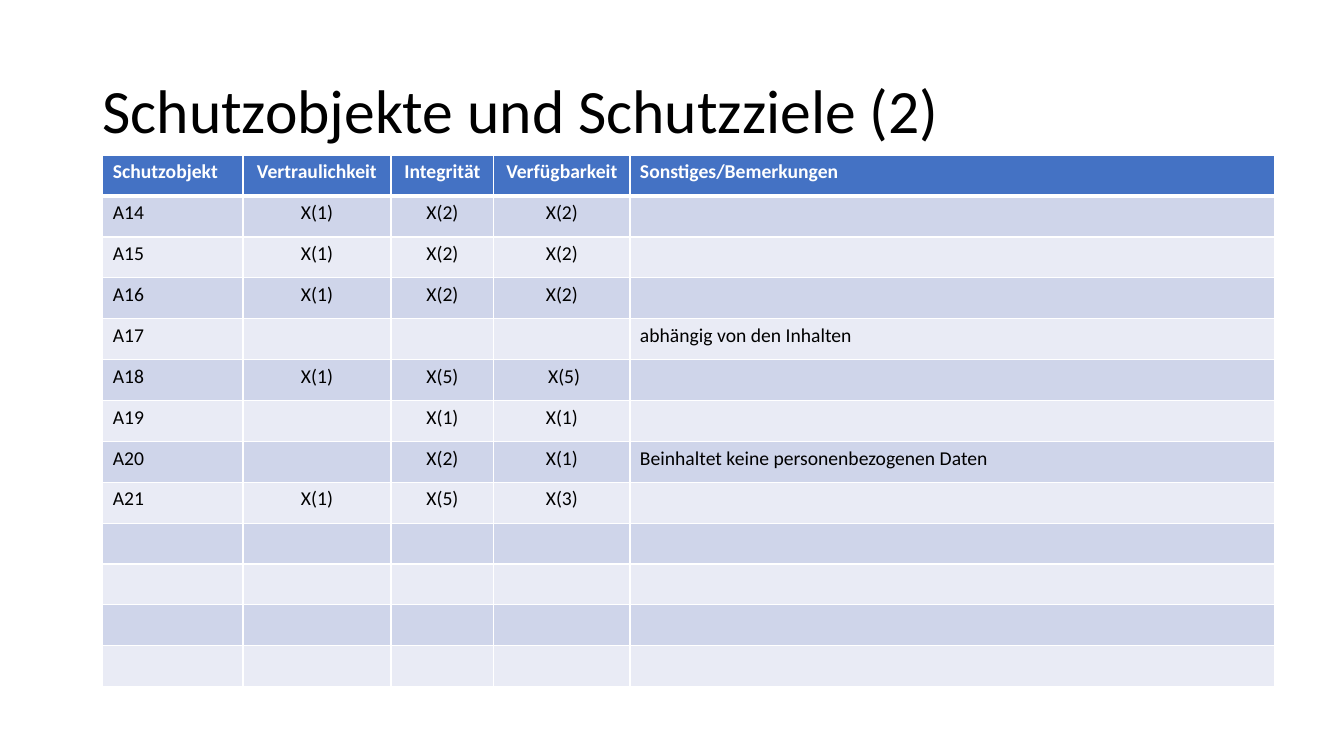
import pptx
import pptx.util
import pptx.dml.color
import pptx.enum.text
from lxml import etree
from pptx.oxml.ns import qn

Pt = pptx.util.Pt
ALIGN = pptx.enum.text.PP_ALIGN
FONT = "Calibri"
COLORS = {
    "head": "4472C4",
    "odd": "CFD5EA",
    "even": "E9EBF5",
    "white": "FFFFFF",
    "black": "000000",
}
WIDTHS = [100.08, 105.84, 73.44, 97.2, 460.3]
HEIGHT = 29.2
HEAD = ["Schutzobjekt", "Vertraulichkeit", "Integrität", "Verfügbarkeit",
        "Sonstiges/Bemerkungen"]
BODY = [
    ["A14", "X(1)", "X(2)", "X(2)", ""],
    ["A15", "X(1)", "X(2)", "X(2)", ""],
    ["A16", "X(1)", "X(2)", "X(2)", ""],
    ["A17", "", "", "", "abhängig von den Inhalten"],
    ["A18", "X(1)", "X(5)", " X(5)", ""],
    ["A19", "", "X(1)", "X(1)", ""],
    ["A20", "", "X(2)", "X(1)", "Beinhaltet keine personenbezogenen Daten"],
    ["A21", "X(1)", "X(5)", "X(3)", ""],
]
SPARE = 4  # unfilled rows at the end


def color(name):
    return pptx.dml.color.RGBColor.from_string(COLORS[name])


def write(frame, text, size=14, fill="black", bold=False, align=ALIGN.LEFT,
          lead=None):
    para = frame.paragraphs[0]
    para.alignment = align
    if lead:
        para.line_spacing = lead
    if not text:
        return
    run = para.add_run()
    run.text = text
    run.font.name = FONT
    run.font.size = Pt(size)
    run.font.bold = bold
    run.font.color.rgb = color(fill)


def border(cell, side, width):
    props = cell._tc.get_or_add_tcPr()
    line = etree.SubElement(props, qn(f"a:ln{side}"), w=str(Pt(width)))
    fill = etree.SubElement(line, qn("a:solidFill"))
    etree.SubElement(fill, qn("a:srgbClr"), val=COLORS["white"])


def add_title(slide, text):
    title = slide.shapes.title
    title.left, title.top = Pt(66), Pt(28.75)
    title.width, title.height = Pt(828), Pt(104.4)
    frame = title.text_frame
    frame.word_wrap = True
    frame.vertical_anchor = pptx.enum.text.MSO_ANCHOR.MIDDLE
    write(frame, text, size=44, lead=0.9)


def add_grid(slide, rows):
    shape = slide.shapes.add_table(
        len(rows), len(WIDTHS), Pt(73.44), Pt(110.88),
        Pt(sum(WIDTHS)), Pt(HEIGHT * len(rows)))
    table = shape.table
    for col, width in zip(table.columns, WIDTHS):
        col.width = Pt(width)
    for r, row in enumerate(rows):
        table.rows[r].height = Pt(HEIGHT)
        head = r == 0
        band = "head" if head else "odd" if r % 2 else "even"
        # The rule below the header is thicker than the rest
        sides = {"L": 1, "R": 1, "T": 3 if r == 1 else 1, "B": 3 if head else 1}
        for c, text in enumerate(row):
            cell = table.cell(r, c)
            for side, width in sides.items():
                border(cell, side, width)
            cell.fill.solid()
            cell.fill.fore_color.rgb = color(band)
            write(cell.text_frame, text, bold=head,
                  fill="white" if head else "black",
                  align=ALIGN.CENTER if 0 < c < 4 else ALIGN.LEFT)


def main():
    deck = pptx.Presentation()
    deck.slide_width, deck.slide_height = Pt(960), Pt(540)
    slide = deck.slides.add_slide(deck.slide_layouts[5])

    # Title
    add_title(slide, "Schutzobjekte und Schutzziele (2)")

    # Table of protected objects and goals
    blank = [""] * len(HEAD)
    add_grid(slide, [HEAD] + BODY + [blank] * SPARE)

    deck.save("out.pptx")


if __name__ == "__main__":
    main()
